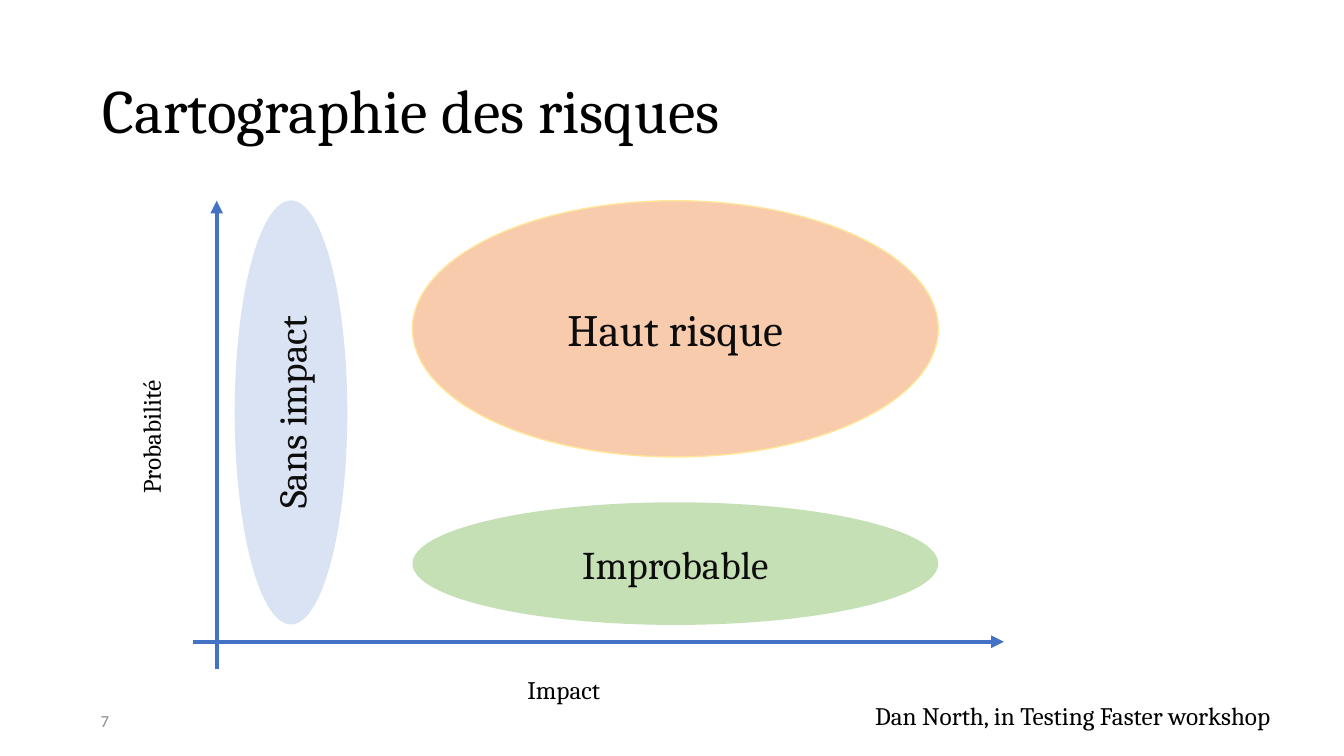
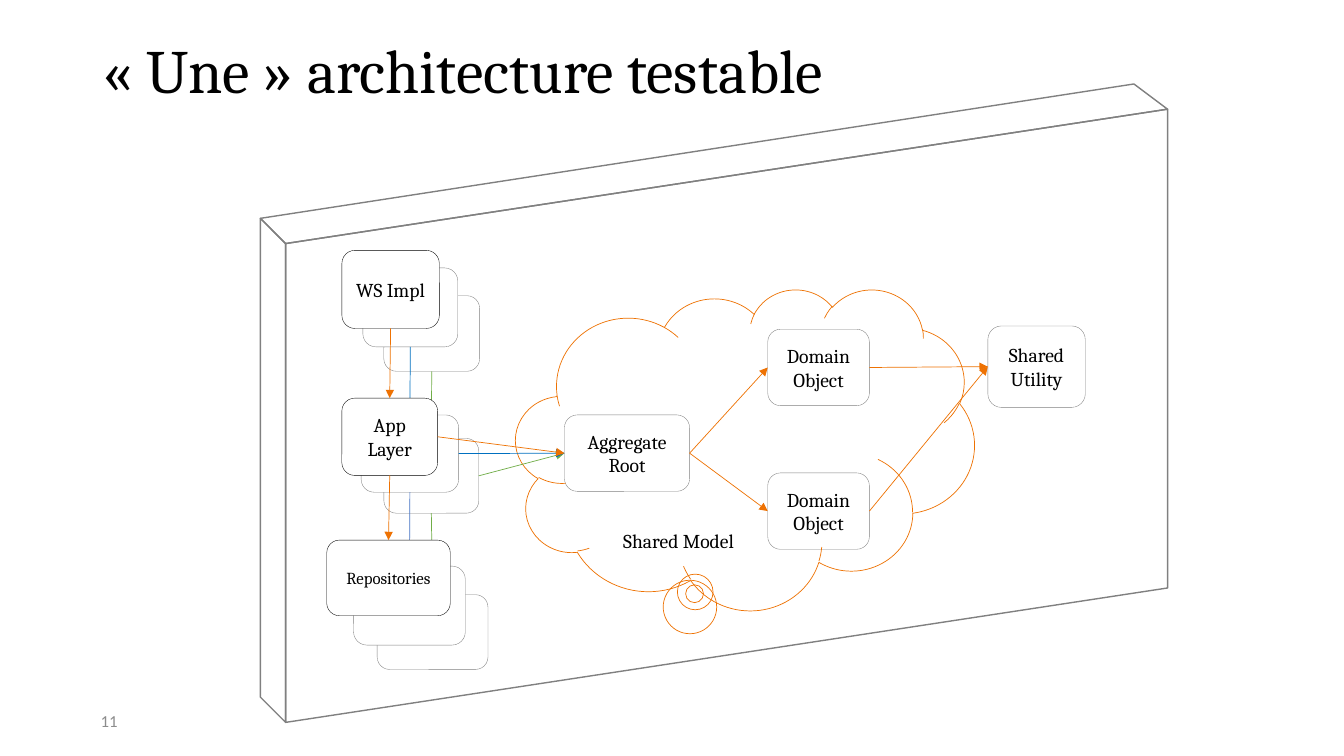
from dataclasses import dataclass
from lxml.etree import SubElement
from pptx import Presentation
from pptx.dml.color import RGBColor
from pptx.enum.shapes import MSO_CONNECTOR as Link, MSO_SHAPE as Shape
from pptx.enum.text import MSO_ANCHOR as Anchor, PP_ALIGN as Align
from pptx.oxml.ns import qn
from pptx.util import Inches, Pt


@dataclass(frozen=True)
class Theme:
    serif: str = "Cambria"
    sans: str = "Calibri"
    black: str = "000000"
    ink: str = "0D0D0D"
    gray: str = "808080"
    number: str = "8C8C8C"
    white: str = "FFFFFF"
    axis: str = "4472C4"
    blue: str = "0070C0"
    green: str = "70AD47"
    orange: str = "EE7203"
    pale_blue: str = "DAE3F3"
    pale_green: str = "C5E0B4"
    pale_orange: str = "F8CBAD"
    pale_yellow: str = "FFE699"
    title_size: int = 44
    zone_size: int = 28
    risk_size: int = 32
    label_size: int = 18
    box_size: int = 14
    small_size: int = 12


theme = Theme()
deck = Presentation()
deck.slide_width, deck.slide_height = Inches(13.33), Inches(7.5)
COL, ROW = deck.slide_width / 160, deck.slide_height / 90


def add_box(page, cells, text="", size=theme.label_size, color=theme.black, kind=None,
            fill=None, line=None, weight=0.25, anchor=Anchor.TOP, font=theme.serif, pad=0.05):
    left, top, width, height = cells
    place = [int(left * COL), int(top * ROW), int(width * COL), int(height * ROW)]
    if kind is None:
        box = page.shapes.add_textbox(*place)
    else:
        box = page.shapes.add_shape(kind, *place)
        box.shadow.inherit = False
        anchor = Anchor.MIDDLE
        if fill:
            box.fill.solid()
            box.fill.fore_color.rgb = RGBColor.from_string(fill)
        else:
            box.fill.background()
        if line:
            box.line.color.rgb = RGBColor.from_string(line)
            box.line.width = Pt(weight)
        else:
            box.line.fill.background()
    if text:
        frame = box.text_frame
        frame.word_wrap = True
        frame.vertical_anchor = anchor
        frame.margin_top = frame.margin_bottom = Inches(pad)
        para = frame.paragraphs[0]
        para.text = text
        para.alignment = Align.LEFT if kind is None else Align.CENTER
        para.font.name, para.font.size = font, Pt(size)
        para.font.color.rgb = RGBColor.from_string(color)
    return box


def add_arrow(page, color, weight, ends=(0, 0, 0, 0), start=None, finish=None):
    x1, y1, x2, y2 = ends
    arrow = page.shapes.add_connector(
        Link.STRAIGHT, int(x1 * COL), int(y1 * ROW), int(x2 * COL), int(y2 * ROW))
    if start:
        arrow.begin_connect(*start)
        arrow.end_connect(*finish)
    arrow.line.color.rgb = RGBColor.from_string(color)
    arrow.line.width = Pt(weight)
    SubElement(arrow.line._get_or_add_ln(), qn("a:tailEnd"), type="triangle")
    SubElement(arrow._element.spPr, qn("a:effectLst"))


pages = []
for title, title_top, number in [
    ("Cartographie des risques", 4.8, "7"),
    ("« Une » architecture testable", 0, "11"),
]:
    page = deck.slides.add_slide(deck.slide_layouts[6])
    heading = add_box(page, (11, title_top, 138, 17.4), title, theme.title_size,
                      anchor=Anchor.MIDDLE)
    heading.text_frame.paragraphs[0].line_spacing = 0.9
    add_box(page, (10.8, 83.4, 36.2, 4.8), number, theme.small_size, theme.number,
            anchor=Anchor.MIDDLE, font=theme.sans)
    pages.append(page)
risks, architecture = pages

for ends in [(23, 76.4, 119.5, 76.4), (25.8, 79.7, 25.8, 23.9)]:
    add_arrow(risks, theme.axis, 3, ends)

for cells, text, turn in [
    ((7.4, 47, 21.1, 4.8), "Probabilité", 270),
    ((61.6, 79.7, 14.6, 4.8), "Impact", 0),
    ((103, 82.8, 57, 4.8), "Dan North, in Testing Faster workshop", 0),
]:
    add_box(risks, cells, text).rotation = turn

for cells, text, size, fill, line, turn in [
    ((9.4, 42.4, 50.5, 13.4), "Sans impact", theme.zone_size, theme.pale_blue, None, 270),
    ((49.1, 59.8, 62.6, 14.6), "Improbable", theme.zone_size, theme.pale_green, None, 0),
    ((49.1, 23.9, 62.6, 30.5), "Haut risque", theme.risk_size, theme.pale_orange,
     theme.pale_yellow, 0),
]:
    add_box(risks, cells, text, size, theme.ink, Shape.OVAL, fill, line, 1).rotation = turn

top_left, top_right = (34, 29.2), (138.6, 13.4)
bottom_right, bottom_left = (138.6, 70.2), (34, 85.8)
back_left, back_right, back_bottom = [
    (x - 3.4, y - 3.2) for x, y in (top_left, top_right, bottom_left)]
for corners in [
    (back_left, back_right, top_right, top_left),
    (back_left, top_left, bottom_left, back_bottom),
    (top_left, top_right, bottom_right, bottom_left),
]:
    outline = architecture.shapes.build_freeform(*corners[0], scale=(COL, ROW))
    outline.add_line_segments(corners[1:], close=True)
    face = outline.convert_to_shape()
    face.shadow.inherit = False
    face.fill.background()
    face.line.color.rgb = RGBColor.from_string(theme.gray)
    face.line.width = Pt(1)

root, upper, lower, utility = [
    add_box(architecture, cells, text, theme.box_size, kind=Shape.ROUNDED_RECTANGLE,
            line=theme.gray, pad=0.1)
    for cells, text in [
        ((67.2, 49.4, 14.9, 9.1), "Aggregate Root"),
        ((91.4, 39.2, 12.1, 9.1), "Domain Object"),
        ((91.4, 56.3, 12.1, 9.1), "Domain Object"),
        ((117.6, 38.8, 11.6, 9.7), "Shared Utility"),
    ]]

cloud = add_box(architecture, (61.4, 34.4, 54.6, 38.2), kind=Shape.CLOUD_CALLOUT,
                line=theme.orange, weight=0.5)
cloud.adjustments[0], cloud.adjustments[1] = -0.11, 0.45
add_box(architecture, (73, 62.4, 17.5, 4.1), "Shared Model", theme.box_size)

names = [("WS Impl", theme.box_size), ("App Layer", theme.box_size),
         ("Repositories", theme.small_size)]
blank = [("", theme.box_size)] * 3
for stack, labels, line, colors in [
    ([(45.7, 35.2, 11.4, 9), (45.7, 52.2, 11.3, 8.9), (44.9, 70.8, 13.2, 8.9)],
     blank, theme.gray, (theme.green, theme.green, theme.green)),
    ([(43.2, 31.9, 11.3, 9.4), (43, 49.4, 11.6, 9.2), (42.1, 67.4, 13.3, 9.4)],
     blank, theme.gray, (theme.blue, theme.axis, theme.blue)),
    ([(40.7, 29.8, 11.6, 9.3), (40.7, 47.4, 11.4, 9.2), (38.9, 64.3, 14.7, 9)],
     names, theme.black, (theme.orange, theme.orange, theme.orange)),
]:
    service, layer, store = [
        add_box(architecture, cells, text, size, kind=Shape.ROUNDED_RECTANGLE,
                fill=theme.white, line=line, pad=0.1)
        for cells, (text, size) in zip(stack, labels)]
    routes = [((service, 2), (layer, 0)), ((layer, 2), (store, 0)), ((layer, 3), (root, 1))]
    for color, (start, finish) in zip(colors, routes):
        add_arrow(architecture, color, 0.5, start=start, finish=finish)

for origin, target in [(root, upper), (root, lower), (upper, utility), (lower, utility)]:
    add_arrow(architecture, theme.orange, 0.5, start=(origin, 3), finish=(target, 1))

deck.save("out.pptx")
